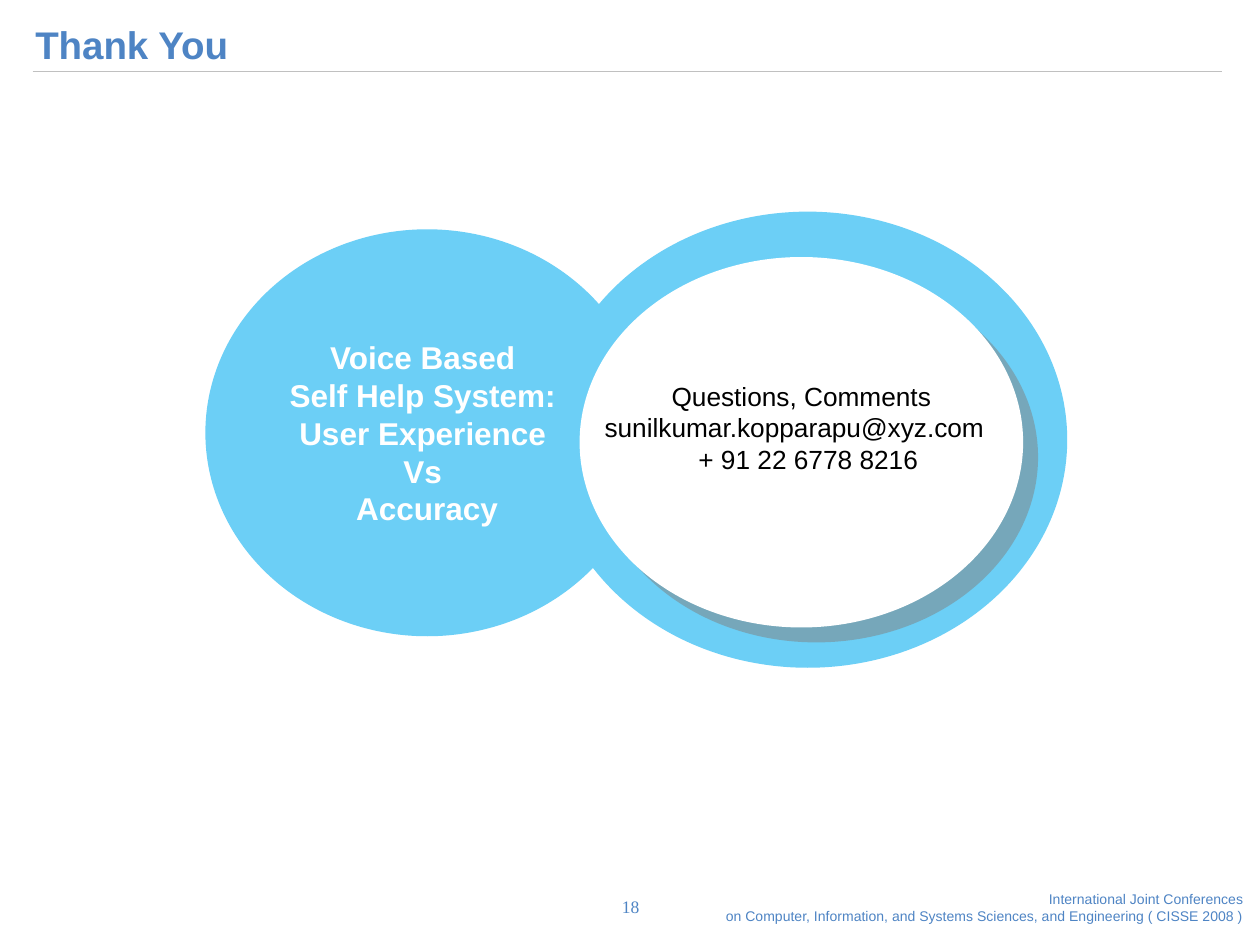
import pptx
import pptx.util
import pptx.dml.color
import pptx.enum.shapes
import pptx.enum.text
import pptx.oxml
import pptx.oxml.ns
import pptx.oxml.xmlchemy

COLUMNS, ROWS = 100, 75
CELL = pptx.util.Inches(0.1)

BLUE = pptx.dml.color.RGBColor(0x4E, 0x84, 0xC4)
SKY = pptx.dml.color.RGBColor(0x6C, 0xCF, 0xF6)
WHITE = pptx.dml.color.RGBColor(0xFF, 0xFF, 0xFF)
BLACK = pptx.dml.color.RGBColor(0x00, 0x00, 0x00)
GREY = pptx.dml.color.RGBColor(0xC0, 0xC0, 0xC0)

ALIGN = pptx.enum.text.PP_ALIGN
ANCHOR = pptx.enum.text.MSO_ANCHOR

TITLE = {"name": "Arial", "size": pptx.util.Pt(22), "bold": True, "color": BLUE}
TOPIC = {"name": "Arial", "size": pptx.util.Pt(18), "bold": True, "color": WHITE}
CONTACT = {"name": "Arial", "size": pptx.util.Pt(15), "bold": False, "color": BLACK}
FOOTER = {"name": "Arial", "size": pptx.util.Pt(8), "bold": False, "color": BLUE}
NUMBER = {"name": "Times New Roman", "size": pptx.util.Pt(10), "bold": False, "color": BLUE}

TOPIC_LINES = [
    ("Voice Based", 0, 0.7),
    ("Self Help System:", 0, 0.7),
    ("User Experience", 0, 0.7),
    ("Vs", 0, 0.7),
    ("Accuracy", 0, 0),
]
CONTACT_LINES = [
    ("Questions, Comments", 0, 0),
    ("sunilkumar.kopparapu@xyz.com", 0, 1.1),
    ("+ 91 22 6778 8216", 1.1, 0),
]
FOOTER_LINES = [
    ("International Joint Conferences", 0, 0),
    ("on Computer, Information, and Systems Sciences, and Engineering ( CISSE 2008 )", 0, 0),
]

SHADOW = (
    '<a:outerShdw xmlns:a="http://schemas.openxmlformats.org/drawingml/2006/main"'
    ' dist="153670" dir="2700000" algn="ctr" rotWithShape="0">'
    '<a:srgbClr val="808080"><a:alpha val="50000"/></a:srgbClr></a:outerShdw>'
)


def cells(*counts):
    return [round(count * CELL) for count in counts]


def format_font(font, values):
    for name, value in values.items():
        if name == "color":
            font.color.rgb = value
        else:
            setattr(font, name, value)


def write_lines(shape, lines, font_values, alignment, anchor=ANCHOR.TOP,
                margins=(1, 0.5, 1, 0.5), wrap=True):
    frame = shape.text_frame
    frame.auto_size = pptx.enum.text.MSO_AUTO_SIZE.NONE
    frame.word_wrap = wrap
    frame.vertical_anchor = anchor
    sides = ("left", "top", "right", "bottom")
    for side, margin in zip(sides, cells(*margins)):
        setattr(frame, f"margin_{side}", margin)
    for index, (text, left, right) in enumerate(lines):
        paragraph = frame.paragraphs[0] if index == 0 else frame.add_paragraph()
        paragraph.alignment = alignment
        properties = paragraph._p.get_or_add_pPr()
        for name, indent in zip(("marL", "marR"), cells(left, right)):
            properties.set(name, str(indent))
        run = paragraph.add_run()
        run.text = text
        format_font(run.font, font_values)


def add_title(slide, text):
    title = slide.shapes.title
    title.left, title.top, title.width, title.height = cells(1.8, 0.6, 95.7, 5.2)
    write_lines(title, [(text, 0, 0)], TITLE, ALIGN.LEFT)
    title.text_frame.paragraphs[0].line_spacing = 1.15


def add_rule(slide, left, right, row):
    rule = slide.shapes.add_connector(
        pptx.enum.shapes.MSO_CONNECTOR.STRAIGHT, *cells(left, row, right, row))
    rule.line.color.rgb = GREY
    rule.line.width = pptx.util.Pt(0.75)
    rule._element.spPr.append(pptx.oxml.xmlchemy.OxmlElement("a:effectLst"))


def add_ellipse(slide, area, color):
    ellipse = slide.shapes.add_shape(pptx.enum.shapes.MSO_SHAPE.OVAL, *cells(*area))
    ellipse.shadow.inherit = False
    ellipse.fill.solid()
    ellipse.fill.fore_color.rgb = color
    ellipse.line.fill.background()
    return ellipse


def add_drop_shadow(shape):
    effects = shape._element.spPr.find(pptx.oxml.ns.qn("a:effectLst"))
    effects.append(pptx.oxml.parse_xml(SHADOW))


def add_text(slide, area, lines, font_values, alignment, **layout):
    box = slide.shapes.add_textbox(*cells(*area))
    write_lines(box, lines, font_values, alignment, **layout)


def main():
    presentation = pptx.Presentation()
    presentation.slide_width, presentation.slide_height = cells(COLUMNS, ROWS)
    slide = presentation.slides.add_slide(presentation.slide_layouts[5])

    add_title(slide, "Thank You")
    add_rule(slide, 2.6, 97, 5.7)
    add_ellipse(slide, (43.5, 16.8, 41.2, 36.2), SKY)
    topic = add_ellipse(slide, (16.3, 18.2, 35.2, 32.3), SKY)
    write_lines(topic, TOPIC_LINES, TOPIC, ALIGN.CENTER, ANCHOR.MIDDLE, wrap=False)
    contact = add_ellipse(slide, (46, 20.4, 35.2, 29.4), WHITE)
    add_drop_shadow(contact)
    write_lines(contact, CONTACT_LINES, CONTACT, ALIGN.CENTER, ANCHOR.MIDDLE,
                margins=(1, 0.5, 1, 2.9), wrap=False)
    add_text(slide, (54, 70.7, 44.7, 2.7), FOOTER_LINES, FOOTER, ALIGN.RIGHT,
             margins=(0, 0, 0, 0))
    add_text(slide, (46.4, 70, 7.3, 3.9), [("18", 0, 0)], NUMBER, ALIGN.CENTER,
             anchor=ANCHOR.MIDDLE)

    presentation.save("out.pptx")


if __name__ == "__main__":
    main()
